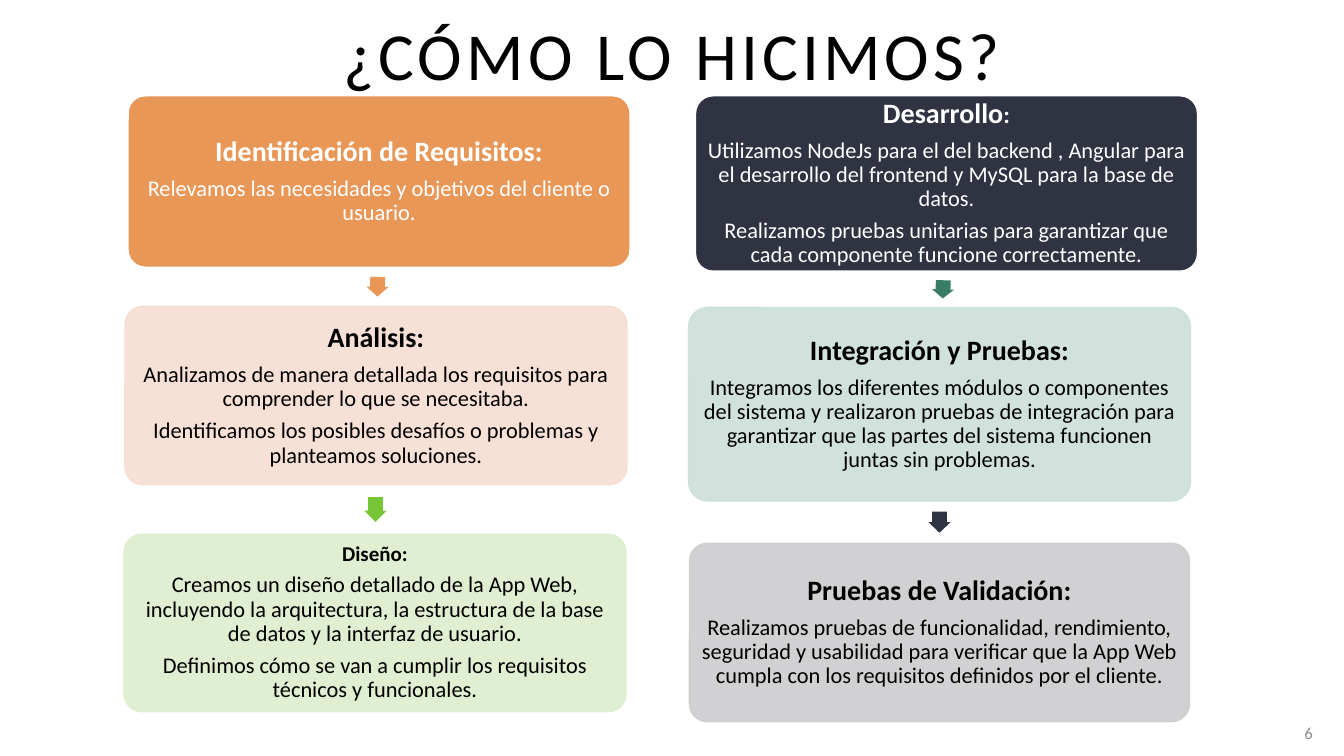
from dataclasses import dataclass
from itertools import pairwise
from math import atan2, degrees

from lxml import etree
from pptx import Presentation
from pptx import util as u
from pptx.dml.color import RGBColor
from pptx.enum import shapes, text
from pptx.oxml.ns import qn


@dataclass(frozen=True)
class Theme:
    font: str = "Calibri"
    white: str = "FFFFFF"
    black: str = "000000"
    grey: str = "8C8C8C"
    orange: str = "E99757"
    peach: str = "F7DDD1"
    green: str = "76C536"
    lime: str = "DDEDCD"
    navy: str = "2F3342"
    teal: str = "397D67"
    mint: str = "CBDFD8"
    silver: str = "CDCDCF"
    title: int = 48
    heading: int = 20
    small_heading: int = 15
    colon: int = 17
    body: int = 16
    number: int = 12


T = Theme()
WIDTH, HEIGHT = u.Inches(13.33), u.Inches(7.5)
COL, ROW = WIDTH / 100, HEIGHT / 100  # grid of 100 columns by 100 rows
ARROW_BREADTH = u.Inches(0.22)


@dataclass(frozen=True)
class Step:
    """One card of a column; left and width in columns, top and height in rows."""
    left: float
    top: float
    height: float
    fill: str
    heading: str
    body: tuple[str, ...]
    arrow: str = ""  # colour of the arrow to the next card
    width: float = 37.35
    solid: bool = False
    heading_size: int = T.heading
    colon_size: int = 0

    @property
    def centre(self) -> tuple[float, float]:
        return (self.left + self.width / 2) * COL, (self.top + self.height / 2) * ROW

    @property
    def bottom(self) -> float:
        return self.top + self.height


LEFT_STEPS = (
    Step(9.53, 12.67, 22.67, T.orange, "Identificación de Requisitos:",
         ("Relevamos las necesidades y objetivos del cliente o usuario.",),
         arrow=T.orange, solid=True),
    Step(9.3, 40.53, 23.6, T.peach, "Análisis:",
         ("Analizamos de manera detallada los requisitos para comprender lo que se necesitaba.",
          "Identificamos los posibles desafíos o problemas y planteamos soluciones."),
         arrow=T.green),
    Step(9.23, 70.67, 23.47, T.lime, "Diseño:",
         ("Creamos un diseño detallado de la App Web, incluyendo la arquitectura, "
          "la estructura de la base de datos y la interfaz de usuario.",
          "Definimos cómo se van a cumplir los requisitos técnicos y funcionales."),
         heading_size=T.small_heading),
)
RIGHT_STEPS = (
    Step(51.75, 12.67, 23.2, T.navy, "Desarrollo:",
         ("Utilizamos NodeJs para el del backend , Angular para el desarrollo "
          "del frontend y MySQL para la base de datos.",
          "Realizamos pruebas unitarias para garantizar que cada componente "
          "funcione correctamente."),
         arrow=T.teal, solid=True, colon_size=T.colon),
    Step(51.23, 40.67, 25.6, T.mint, "Integración y Pruebas:",
         ("Integramos los diferentes módulos o componentes del sistema y realizaron "
          "pruebas de integración para garantizar que las partes del sistema "
          "funcionen juntas sin problemas.",),
         arrow=T.navy),
    Step(51.3, 71.87, 23.6, T.silver, "Pruebas de Validación:",
         ("Realizamos pruebas de funcionalidad, rendimiento, seguridad y usabilidad "
          "para verificar que la App Web cumpla con los requisitos definidos por el cliente.",),
         width=37.2),
)


def grid(left: float, top: float, width: float, height: float) -> tuple[int, ...]:
    return round(left * COL), round(top * ROW), round(width * COL), round(height * ROW)


def style(p, size: int, color: str, bold: bool = False, align=text.PP_ALIGN.CENTER) -> None:
    p.alignment = align
    p.font.name, p.font.size, p.font.bold = T.font, u.Pt(size), bold
    p.font.color.rgb = RGBColor.from_string(color)


def make_translucent(sp) -> None:
    for color in sp._element.spPr.iter(qn("a:srgbClr")):
        etree.SubElement(color, qn("a:alpha"), val="90000")


def add_title(s, words: str) -> None:
    sp = s.shapes.title
    sp.left, sp.top, sp.width, sp.height = grid(4.88, 2, 90.25, 10.67)
    tf = sp.text_frame
    tf.auto_size = text.MSO_AUTO_SIZE.NONE
    tf.vertical_anchor = text.MSO_ANCHOR.BOTTOM
    tf.margin_bottom = u.Inches(0.02)
    p = tf.paragraphs[0]
    style(p, T.title, T.black)
    r = p.add_run()
    r.text = words
    r._r.get_or_add_rPr().set("spc", "300")


def add_number(s, number: str) -> None:
    tf = s.shapes.add_textbox(*grid(94.75, 94.27, 3.68, 5.33)).text_frame
    tf.word_wrap = True
    tf.vertical_anchor = text.MSO_ANCHOR.MIDDLE
    p = tf.paragraphs[0]
    style(p, T.number, T.grey, align=text.PP_ALIGN.RIGHT)
    p.add_run().text = number


def add_card(s, step: Step) -> None:
    sp = s.shapes.add_shape(shapes.MSO_SHAPE.ROUNDED_RECTANGLE,
                            *grid(step.left, step.top, step.width, step.height))
    sp.adjustments[0] = 0.1
    sp.shadow.inherit = False
    sp.fill.solid()
    sp.fill.fore_color.rgb = RGBColor.from_string(step.fill)
    sp.line.width = u.Pt(1)
    sp.line.color.rgb = RGBColor.from_string(T.white if step.solid else step.fill)
    if not step.solid:
        make_translucent(sp)

    tf = sp.text_frame
    tf.word_wrap = True
    tf.vertical_anchor = text.MSO_ANCHOR.MIDDLE
    tf.margin_left = tf.margin_right = tf.margin_top = tf.margin_bottom = u.Inches(0.03)
    for i, words in enumerate((step.heading, *step.body)):
        p = tf.add_paragraph() if i else tf.paragraphs[0]
        size = T.body if i else step.heading_size
        style(p, size, T.white if step.solid else T.black, bold=i == 0)
        p.line_spacing = 0.9
        p.space_after = u.Pt(size * 0.35)
        if i == 0 and step.colon_size:
            p.add_run().text = words[:-1]
            r = p.add_run()
            r.text = words[-1]
            r.font.size = u.Pt(step.colon_size)
        else:
            p.add_run().text = words


def add_arrow(s, start: Step, end: Step) -> None:
    """Fill half the gap between two cards, pointing from centre to centre."""
    (x1, y1), (x2, y2) = start.centre, end.centre
    length = (end.top - start.bottom) * ROW / 2
    x, y = (x1 + x2) / 2, (start.bottom + end.top) * ROW / 2
    sp = s.shapes.add_shape(shapes.MSO_SHAPE.RIGHT_ARROW,
                            round(x - length / 2), round(y - ARROW_BREADTH / 2),
                            round(length), ARROW_BREADTH)
    sp.adjustments[0], sp.adjustments[1] = 0.67, 0.5
    sp.rotation = degrees(atan2(y2 - y1, x2 - x1))
    sp.shadow.inherit = False
    sp.fill.solid()
    sp.fill.fore_color.rgb = RGBColor.from_string(start.arrow)
    sp.line.fill.background()


def main() -> None:
    prs = Presentation()
    prs.slide_width, prs.slide_height = WIDTH, HEIGHT
    s = prs.slides.add_slide(prs.slide_layouts[5])

    # Title and page number
    add_title(s, "¿CÓMO LO HICIMOS?")
    add_number(s, "6")

    # Two columns of cards joined by arrows
    for steps in (LEFT_STEPS, RIGHT_STEPS):
        for step in steps:
            add_card(s, step)
        for start, end in pairwise(steps):
            add_arrow(s, start, end)

    prs.save("out.pptx")


if __name__ == "__main__":
    main()
